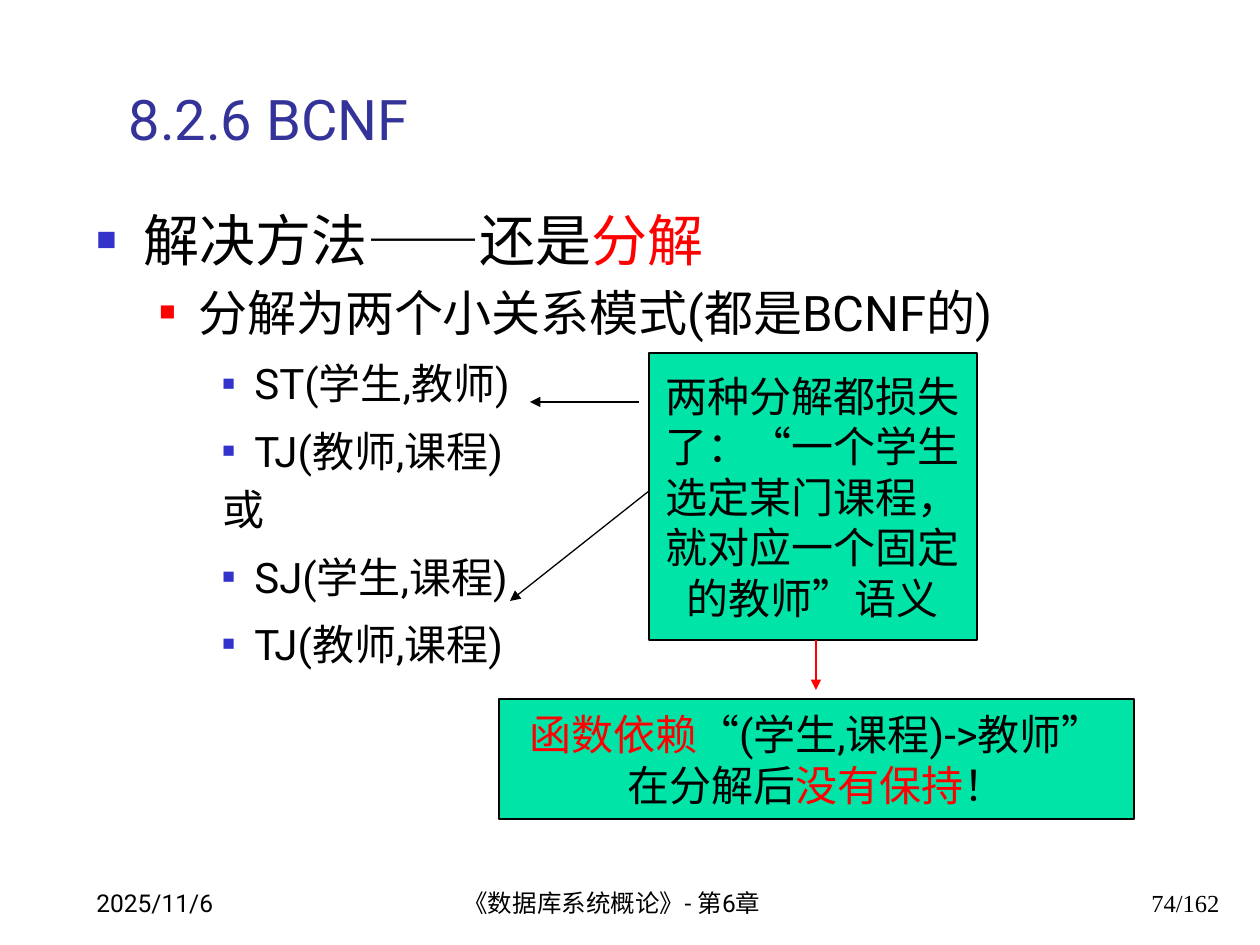
from dataclasses import dataclass

from lxml.etree import SubElement
from pptx import Presentation
from pptx.dml.color import RGBColor
from pptx.enum.shapes import MSO_CONNECTOR as Connector, MSO_SHAPE as Preset
from pptx.enum.text import MSO_ANCHOR as Anchor, MSO_AUTO_SIZE as AutoSize, PP_ALIGN as Align
from pptx.oxml.ns import qn
from pptx.util import Pt

EMU_PER_PX = 914400 / 126


@dataclass(frozen=True)
class Theme:
    title: str = "333399"
    text: str = "000000"
    accent: str = "FF0000"
    bullet: str = "3333CC"
    note: str = "00E4A8"
    font: str = "Roboto"
    dash_font: str = "Arial"
    serif: str = "Times New Roman"
    title_size: int = 32
    level_sizes: tuple = (32, 28, 24)
    note_size: int = 24
    footer_size: int = 14
    line_width: float = 0.75


THEME = Theme()
# Left margin and hanging indent in px, bullet colour and bullet size in percent
LEVELS = (
    (47, 47, THEME.bullet, 60),
    (102, 39, THEME.accent, 55),
    (158, 32, THEME.bullet, 50),
)


def px(length):
    return round(length * EMU_PER_PX)


def rgb(value):
    return RGBColor.from_string(value)


def write(para, text, size, color=THEME.text, font=THEME.font):
    span = para.add_run()
    span.text = text
    span.font.size = Pt(size)
    span.font.name = font
    span.font.color.rgb = rgb(color)


def write_spans(para, spans, size):
    """Write spans given as plain text or as (text, format) pairs."""
    for span in spans:
        text, style = (span, {}) if isinstance(span, str) else span
        write(para, text, size, **style)


def paragraphs(frame, count):
    return [frame.paragraphs[0]] + [frame.add_paragraph() for _ in range(count - 1)]


def set_indent(para, level, bulleted):
    margin, hanging, color, percent = LEVELS[level]
    properties = para._p.get_or_add_pPr()
    properties.set("marL", str(px(margin)))
    properties.set("indent", str(-px(hanging)))
    if not bulleted:
        SubElement(properties, qn("a:buNone"))
        return
    bullet_color = SubElement(properties, qn("a:buClr"))
    SubElement(bullet_color, qn("a:srgbClr"), val=color)
    SubElement(properties, qn("a:buSzPct"), val=str(percent * 1000))
    SubElement(properties, qn("a:buFont"), typeface=THEME.dash_font)
    SubElement(properties, qn("a:buChar"), char="■")


def add_title(page, box, text):
    title = page.shapes.title
    title.left, title.top, title.width, title.height = map(px, box)
    frame = title.text_frame
    frame.auto_size = AutoSize.NONE
    frame.vertical_anchor = Anchor.BOTTOM
    para = frame.paragraphs[0]
    para.alignment = Align.LEFT
    write(para, text, THEME.title_size, color=THEME.title)


def add_outline(page, box, items):
    """Place items of (level, bulleted, space before in em, spans)."""
    frame = page.shapes.add_textbox(*map(px, box)).text_frame
    frame.word_wrap = True
    for para, (level, bulleted, gap, spans) in zip(paragraphs(frame, len(items)), items):
        size = THEME.level_sizes[level]
        para.level = level
        set_indent(para, level, bulleted)
        if gap:
            para.space_before = Pt(gap * size)
        write_spans(para, spans, size)


def add_note(page, box, lines):
    note = page.shapes.add_shape(Preset.RECTANGLE, *map(px, box))
    note.shadow.inherit = False
    note.fill.solid()
    note.fill.fore_color.rgb = rgb(THEME.note)
    note.line.color.rgb = rgb(THEME.text)
    note.line.width = Pt(THEME.line_width)
    frame = note.text_frame
    frame.word_wrap = False
    frame.vertical_anchor = Anchor.MIDDLE
    for para, spans in zip(paragraphs(frame, len(lines)), lines):
        para.alignment = Align.CENTER
        write_spans(para, spans, THEME.note_size)


def add_arrow(page, start, end, color=THEME.text):
    arrow = page.shapes.add_connector(Connector.STRAIGHT, *map(px, start + end))
    arrow.line.color.rgb = rgb(color)
    arrow.line.width = Pt(THEME.line_width)
    SubElement(arrow.line._get_or_add_ln(), qn("a:tailEnd"), type="triangle")
    SubElement(arrow._element.spPr, qn("a:effectLst"))


def add_footer(page, box, entries):
    """Place entries of (left offset, width, text, alignment, font) along the box."""
    left, top, _, height = box
    for offset, width, text, alignment, font in entries:
        frame = page.shapes.add_textbox(*map(px, (left + offset, top, width, height))).text_frame
        frame.word_wrap = True
        frame.vertical_anchor = Anchor.BOTTOM
        para = frame.paragraphs[0]
        para.alignment = alignment
        write(para, text, THEME.footer_size, font=font)


def main():
    deck = Presentation()
    deck.slide_width, deck.slide_height = px(1260), px(945)
    page = deck.slides.add_slide(deck.slide_layouts[5])
    red = {"color": THEME.accent}
    open_quote, close_quote = [(mark, {"font": THEME.serif}) for mark in "“”"]

    add_title(page, (116, 53, 1116, 105), "8.2.6 BCNF")
    add_outline(page, (84, 199, 1150, 645), [
        (0, True, 0, ["解决方法", ("——", {"font": THEME.dash_font}), "还是", ("分解", red)]),
        (1, True, 0.2, ["分解为两个小关系模式(都是BCNF的)"]),
        (2, True, 0.4, ["ST(学生,教师)"]),
        (2, True, 0.4, ["TJ(教师,课程)"]),
        (2, False, 0.2, ["或"]),
        (2, True, 0.4, ["SJ(学生,课程)"]),
        (2, True, 0.4, ["TJ(教师,课程)"]),
    ])
    add_note(page, (649, 353, 328, 287), [
        ["两种分解都损失"],
        ["了：", open_quote, "一个学生"],
        ["选定某门课程，"],
        ["就对应一个固定"],
        ["的教师", close_quote, "语义"],
    ])
    add_arrow(page, (639, 402), (530, 402))
    add_arrow(page, (649, 491), (510, 601))
    add_arrow(page, (816, 640), (816, 690), color=THEME.accent)
    add_note(page, (499, 699, 635, 120), [
        [("函数依赖", red), open_quote, "(学生,课程)->教师", close_quote],
        ["在分解后", ("没有保持", red), "！"],
    ])
    add_footer(page, (84, 861, 1148, 63), [
        (0, 262, "2025/11/6", Align.LEFT, THEME.font),
        (367, 399, "《数据库系统概论》- 第6章", Align.LEFT, THEME.font),
        (886, 262, "74/162", Align.RIGHT, THEME.serif),
    ])
    deck.save("out.pptx")


if __name__ == "__main__":
    main()
